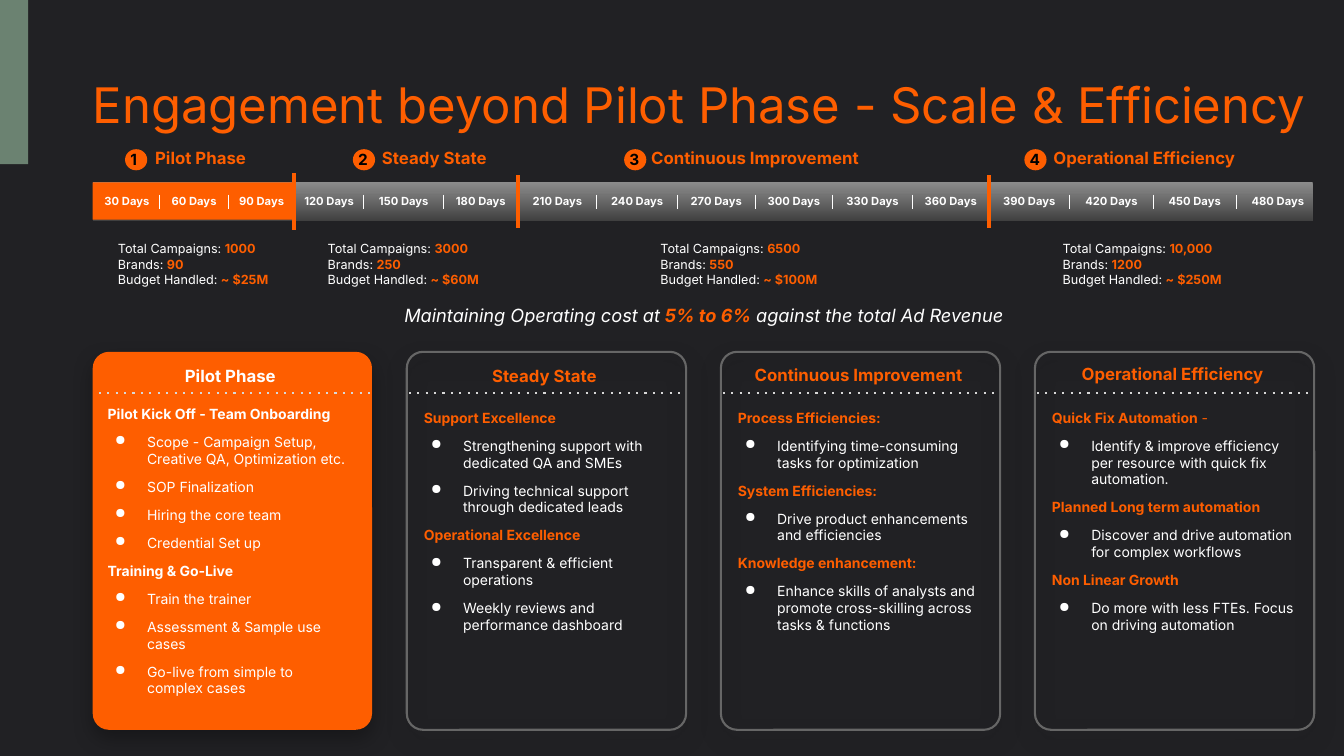
from lxml.etree import SubElement
from pptx import Presentation
from pptx.dml.color import RGBColor
from pptx.enum.shapes import MSO_CONNECTOR as Connector, MSO_SHAPE as Shape
from pptx.enum.text import MSO_ANCHOR as Anchor, PP_ALIGN as Align
from pptx.oxml.ns import qn
from pptx.util import Inches, Pt

ORANGE, WHITE, BLACK = "FE5E00", "FFFFFF", "000000"
DARK, SAGE, GREY, DOTS = "212124", "6B8271", "666666", "D8D8D8"

PHASES = [
    dict(name="Pilot Phase", label=(1.44, 1.49, Align.LEFT), badge=1.24,
         stats=(1.11, 1.78, "1000", "90", "~ $25M"),
         title_top=3.6, rule=0.06, body=(0.05, 3.92, 2.58, 3.12), ink=WHITE,
         topics=[("Pilot Kick Off - Team Onboarding",
                  ["Scope - Campaign Setup, Creative QA, Optimization etc.",
                   "SOP Finalization", "Hiring the core team", "Credential Set up"]),
                 ("Training & Go-Live",
                  ["Train the trainer", "Assessment & Sample use cases",
                   "Go-live from simple to complex cases"])]),
    dict(name="Steady State", label=(3.69, 1.49, Align.LEFT), badge=3.5,
         stats=(3.19, 1.66, "3000", "250", "~ $60M"),
         title_top=3.6, rule=0.02, body=(0.07, 3.96, 2.63, 2.45), ink=ORANGE,
         topics=[("Support Excellence",
                  ["Strengthening support with dedicated QA and SMEs",
                   "Driving technical support through dedicated leads"]),
                 ("Operational Excellence",
                  ["Transparent & efficient operations",
                   "Weekly reviews and performance dashboard"])]),
    dict(name="Continuous Improvement", label=(6.36, 2.83, Align.LEFT), badge=6.19,
         stats=(6.49, 1.69, "6500", "550", "~ $100M"),
         title_top=3.59, rule=0.02, body=(0.07, 3.96, 2.63, 2.45), ink=ORANGE,
         topics=[("Process Efficiencies:",
                  ["Identifying time-consuming tasks for optimization"]),
                 ("System Efficiencies:",
                  ["Drive product enhancements and efficiencies"]),
                 ("Knowledge enhancement:",
                  ["Enhance skills of analysts and promote cross-skilling "
                   "across tasks & functions"])]),
    dict(name="Operational Efficiency", label=(9.66, 3.38, Align.CENTER), badge=10.16,
         stats=(10.48, 1.75, "10,000", "1200", "~ $250M"),
         title_top=3.58, rule=0.02, body=(0.07, 3.96, 2.63, 2.45), ink=ORANGE,
         topics=[("Quick Fix Automation",
                  ["Identify & improve efficiency per resource with quick fix automation."]),
                 ("Planned Long term automation",
                  ["Discover and drive automation for complex workflows"]),
                 ("Non Linear Growth",
                  ["Do more with less FTEs. Focus on driving automation"])]),
]
DAY_EDGES = [0.94, 1.58, 2.27, 2.92, 3.61, 4.4, 5.14, 5.92, 6.72,
             7.49, 8.26, 9.05, 9.81, 10.61, 11.44, 12.26, 13.09]
PHASE_EDGES = {2.92: 0.28, 5.14: 0.26, 9.81: 0.26}
CARD_LEFT, CARD_STEP, CARD_TOP, CARD_WIDTH, CARD_HEIGHT = 0.92, 3.115, 3.49, 2.77, 3.75


def rgb(value):
    return RGBColor.from_string(value)


def write(para, text, size=10, color=WHITE, bold=False, italic=False, font="Inter"):
    span = para.add_run()
    span.text = text
    span.font.name, span.font.size = font, Pt(size)
    span.font.bold, span.font.italic = bold, italic
    span.font.color.rgb = rgb(color)


class Canvas:
    """Draws styled elements on the current slide."""

    def __init__(self, page):
        self.page = page
        page.background.fill.solid()
        page.background.fill.fore_color.rgb = rgb(DARK)

    def shape(self, kind, left, top, width, height, fill=None, line=None):
        shape = self.page.shapes.add_shape(
            kind, Inches(left), Inches(top), Inches(width), Inches(height))
        shape.shadow.inherit = False
        if fill:
            shape.fill.solid()
            shape.fill.fore_color.rgb = rgb(fill)
        else:
            shape.fill.background()
        if line:
            shape.line.color.rgb = rgb(line)
            shape.line.width = Pt(1.5)
        else:
            shape.line.fill.background()
        return shape

    def gradient_bar(self, left, top, width, height, colors):
        bar = self.shape(Shape.RECTANGLE, left, top, width, height)
        bar.fill.gradient()
        bar.fill.gradient_angle = 270
        for stop, position, color in zip(bar.fill.gradient_stops, (0, 1), colors):
            stop.position, stop.color.rgb = position, rgb(color)

    def card(self, left, fill, line):
        card = self.shape(Shape.ROUNDED_RECTANGLE, left, CARD_TOP,
                          CARD_WIDTH, CARD_HEIGHT, fill, line)
        card.adjustments[0] = 0.058
        effects = card._element.spPr.find(qn("a:effectLst"))
        shadow = SubElement(effects, qn("a:outerShdw"), blurRad=str(Pt(15)),
                            dist=str(Pt(6)), dir="5400000", rotWithShape="0")
        color = SubElement(shadow, qn("a:srgbClr"), val=BLACK)
        SubElement(color, qn("a:alpha"), val="30000")

    def line(self, start, end, color, width, dotted=False):
        line = self.page.shapes.add_connector(
            Connector.STRAIGHT, *(Inches(value) for value in (*start, *end)))
        line.line.color.rgb = rgb(color)
        line.line.width = Pt(width)
        properties = line._element.spPr
        if dotted:
            SubElement(properties.find(qn("a:ln")), qn("a:prstDash"), val="dot")
        SubElement(properties, qn("a:effectLst"))

    def frame(self, box, insets, anchor=Anchor.TOP):
        frame = box.text_frame
        frame.word_wrap = True
        frame.vertical_anchor = anchor
        frame.margin_left, frame.margin_top, frame.margin_right, frame.margin_bottom = (
            Inches(inset) for inset in insets)
        return frame

    def text(self, left, top, width, height, paragraphs, inset=(0, 0),
             anchor=Anchor.TOP, align=Align.LEFT, spacing=None):
        box = self.page.shapes.add_textbox(
            Inches(left), Inches(top), Inches(width), Inches(height))
        frame = self.frame(box, inset * 2, anchor)
        for index, spans in enumerate(paragraphs):
            para = frame.add_paragraph() if index else frame.paragraphs[0]
            para.alignment, para.line_spacing = align, spacing
            for text, style in spans:
                write(para, text, **style)
        return frame

    def badge(self, left, number):
        badge = self.shape(Shape.OVAL, left, 1.48, 0.22, 0.21, ORANGE)
        para = self.frame(badge, (0.02, 0.1, 0.1, 0.1), Anchor.MIDDLE).paragraphs[0]
        para.alignment = Align.LEFT
        write(para, str(number), size=11, color=BLACK, bold=True)

    def topics(self, left, top, width, height, topics, ink):
        frame = self.text(left, top, width, height, [], (0.1, 0.1))
        for index, (heading, items) in enumerate(topics):
            para = frame.add_paragraph() if index else frame.paragraphs[0]
            if index:
                para.space_before = Pt(8)
            write(para, heading, color=ink, bold=True)
            if heading == "Quick Fix Automation":
                write(para, " -", color=ink)
            for item in items:
                self.bullet(frame.add_paragraph(), item)

    def bullet(self, para, text):
        para.space_before = Pt(8)
        properties = para._p.get_or_add_pPr()
        properties.set("marL", str(Inches(0.39)))
        properties.set("indent", str(Inches(-0.32)))
        color = SubElement(properties, qn("a:buClr"))
        SubElement(color, qn("a:srgbClr"), val=WHITE)
        SubElement(properties, qn("a:buChar"), char="●")
        write(para, text)


def draw_timeline(canvas):
    canvas.gradient_bar(0.92, 1.81, 12.1, 0.38, ("8C8C8C", "404040"))
    canvas.shape(Shape.RECTANGLE, 0.92, 1.81, 2, 0.37, ORANGE)
    for index, (left, right) in enumerate(zip(DAY_EDGES, DAY_EDGES[1:]), 1):
        label = (f"{30 * index} Days", dict(size=8, bold=True))
        canvas.text(left + 0.07, 1.93, right - left - 0.14, 0.13, [[label]],
                    align=Align.CENTER)
    for edge in DAY_EDGES[1:-1]:
        half = PHASE_EDGES.get(edge, 0.07)
        color, width = (ORANGE, 3) if edge in PHASE_EDGES else (WHITE, 0.75)
        canvas.line((edge, 2 - half), (edge, 2 + half), color, width)


def draw_phase(canvas, index, phase):
    name, ink = phase["name"], phase["ink"]
    left, width, align = phase["label"]
    canvas.text(left, 1.44, width, 0.28, [[(name, dict(size=12, color=ORANGE, bold=True))]],
                (0.1, 0.05), align=align, spacing=0.9)
    canvas.badge(phase["badge"], index + 1)
    left, width, *values = phase["stats"]
    captions = ("Total Campaigns: ", "Brands: ", "Budget Handled: ")
    stats = [[(caption, dict(size=9)), (value, dict(size=9, color=ORANGE, bold=True))]
             for caption, value in zip(captions, values)]
    canvas.text(left, 2.32, width, 0.6, stats, (0.06, 0.06), Anchor.MIDDLE)

    card_left = CARD_LEFT + CARD_STEP * index
    canvas.card(card_left, *((None, GREY) if index else (ORANGE, None)))
    canvas.text(card_left - 0.02, phase["title_top"], CARD_WIDTH, 0.28,
                [[(name, dict(size=12, color=ink, bold=True))]],
                (0.1, 0.05), Anchor.MIDDLE, Align.CENTER, 0.9)
    rule_left = card_left + phase["rule"]
    canvas.line((rule_left, 3.9), (rule_left + 2.72, 3.9), DOTS, 1.5, dotted=True)
    offset, top, width, height = phase["body"]
    canvas.topics(card_left + offset, top, width, height, phase["topics"], ink)


def main():
    deck = Presentation()
    deck.slide_width, deck.slide_height = Inches(13.33), Inches(7.5)
    canvas = Canvas(deck.slides.add_slide(deck.slide_layouts[6]))
    canvas.text(0.92, 0.65, 12.25, 0.6,
                [[("Engagement beyond Pilot Phase - Scale & Efficiency",
                   dict(size=35, color=ORANGE))]], spacing=1.15)
    canvas.shape(Shape.RECTANGLE, 0, 0, 0.28, 1.63, SAGE)
    draw_timeline(canvas)
    for index, phase in enumerate(PHASES):
        draw_phase(canvas, index, phase)
    tagline = dict(size=13, italic=True)
    canvas.text(0.93, 2.95, 12.1, 0.47,
                [[("Maintaining Operating cost at ", tagline),
                  ("5% to 6%", dict(tagline, color=ORANGE, bold=True)),
                  (" against the total Ad Revenue", tagline)]],
                (0.13, 0.13), align=Align.CENTER, spacing=0.9)
    deck.save("out.pptx")


if __name__ == "__main__":
    main()
